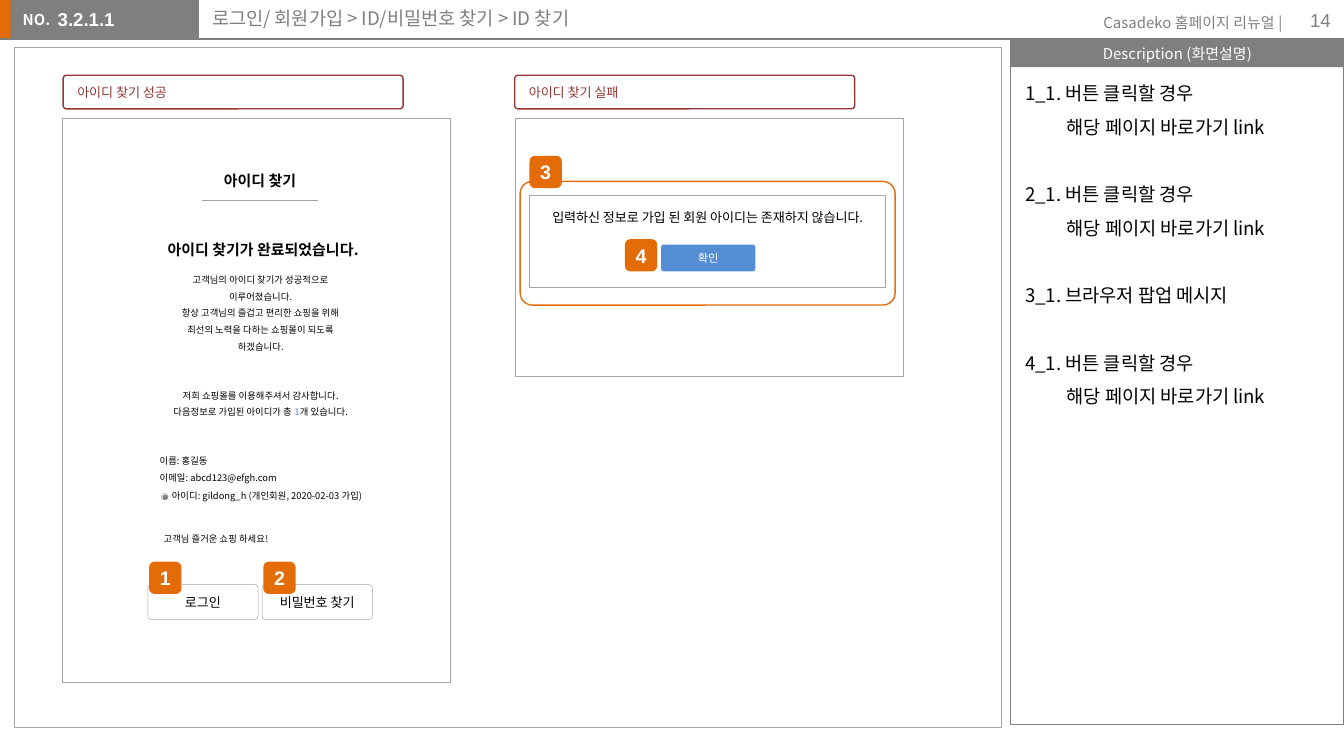
from lxml.etree import SubElement
from pptx import Presentation
from pptx.dml.color import RGBColor
from pptx.enum.shapes import MSO_CONNECTOR, MSO_SHAPE
from pptx.enum.text import MSO_ANCHOR, PP_ALIGN
from pptx.oxml.ns import qn
from pptx.util import Inches, Pt

COLORS = {
    "white": "FFFFFF", "black": "000000", "gray": "7F7F7F", "frame": "A5A5A5",
    "border": "A6A6A6", "radio": "808080", "orange": "E36C09", "popup": "E46C0A",
    "maroon": "953734", "count": "8EB4E3", "confirm": "558ED5",
}
KOREAN = "Noto Sans CJK KR"
LATIN = "Arial"
CENTER, RIGHT = PP_ALIGN.CENTER, PP_ALIGN.RIGHT
TOP, MIDDLE = MSO_ANCHOR.TOP, MSO_ANCHOR.MIDDLE
RECT, ROUND, OVAL = MSO_SHAPE.RECTANGLE, MSO_SHAPE.ROUNDED_RECTANGLE, MSO_SHAPE.OVAL


def rgb(name):
    return RGBColor.from_string(COLORS[name])


def add_run(paragraph, words, size, color, bold, font):
    run = paragraph.add_run()
    run.text = words
    run.font.size = Pt(size)
    run.font.bold = bold
    run.font.name = font
    run.font.color.rgb = rgb(color)
    run.font._element.set("kern", "0")
    SubElement(run.font._element, qn("a:ea")).set("typeface", font)


def write(target, lines, size, color="black", bold=False, font=KOREAN,
          align=PP_ALIGN.LEFT, anchor=TOP, spacing=None, insets=(0.1, 0.05), wrap=True):
    frame = target.text_frame
    frame.word_wrap = wrap
    frame.vertical_anchor = anchor
    frame.margin_left = frame.margin_right = Inches(insets[0])
    frame.margin_top = frame.margin_bottom = Inches(insets[1])
    for index, line in enumerate(lines):
        paragraph = frame.add_paragraph() if index else frame.paragraphs[0]
        paragraph.alignment = align
        if spacing:
            paragraph.line_spacing = spacing
        pieces = [(line, color, bold)] if isinstance(line, str) else line
        for words, piece_color, piece_bold in pieces:
            add_run(paragraph, words, size, piece_color, piece_bold, font)
    return frame.paragraphs


def add_text(slide, box, lines, size, **style):
    area = slide.shapes.add_textbox(*map(Inches, box))
    return write(area, lines, size, **style)


def add_box(slide, box, kind=RECT, fill=None, line=None, weight=0.25, corner=0.098, alpha=None):
    shape = slide.shapes.add_shape(kind, *map(Inches, box))
    shape.shadow.inherit = False
    if kind == ROUND:
        shape.adjustments[0] = corner
    if fill:
        shape.fill.solid()
        shape.fill.fore_color.rgb = rgb(fill)
    else:
        shape.fill.background()
    if alpha:
        tint = shape._element.spPr.find(qn("a:solidFill"))[0]
        SubElement(tint, qn("a:alpha")).set("val", str(alpha * 1000))
    if line:
        shape.line.color.rgb = rgb(line)
        shape.line.width = Pt(weight)
    else:
        shape.line.fill.background()
    return shape


def add_rule(slide, left, right, y, color):
    rule = slide.shapes.add_connector(
        MSO_CONNECTOR.STRAIGHT, Inches(left), Inches(y), Inches(right), Inches(y))
    rule.line.color.rgb = rgb(color)
    rule.line.width = Pt(0.75)
    SubElement(rule._element.spPr, qn("a:effectLst"))


def add_frame(slide, box):
    add_box(slide, box, fill="white", line="frame", alpha=70)


def add_case_label(slide, left, words):
    label = add_box(slide, (left, 0.56, 2.53, 0.25), ROUND, "white", "maroon", 0.75)
    write(label, [words], 7, color="maroon", anchor=MIDDLE)


def add_button(slide, left, words):
    button = add_box(slide, (left, 4.35, 0.82, 0.26), ROUND, line="border")
    write(button, [words], 7, align=CENTER, anchor=MIDDLE)


def add_badge(slide, number, left, top):
    badge = add_box(slide, (left, top, 0.24, 0.24), ROUND, "orange", corner=0.167)
    write(badge, [str(number)], 10.5, color="white", bold=True, font=LATIN,
          align=CENTER, anchor=MIDDLE, insets=(0, 0.05))


def add_header(slide):
    add_box(slide, (-0.01, 0, 0.12, 0.29), fill="orange")
    add_box(slide, (0.08, 0, 1.4, 0.29), fill="gray")
    add_text(slide, (0.07, 0.03, 0.41, 0.24), ["NO."], 8, color="white", bold=True, wrap=False)
    add_rule(slide, 0, 7.66, 0.29, "gray")
    add_text(slide, (8, 0.05, 1.64, 0.24), ["Casadeko 홈페이지 리뉴얼 |"], 8, color="gray", align=RIGHT)
    add_text(slide, (9.4, 0, 0.6, 0.3), ["14"], 10, color="gray", font=LATIN,
             align=RIGHT, anchor=MIDDLE)
    add_text(slide, (0.43, 0.01, 1.1, 0.31), ["3.2.1.1"], 10, color="white", bold=True,
             font=LATIN, insets=(0, 0.05))
    add_text(slide, (1.48, -0.03, 5.42, 0.32), ["로그인/ 회원가입 > ID/비밀번호 찾기 > ID 찾기"],
             10, color="gray", insets=(0.1, 0.11))


def add_description(slide):
    heading = add_box(slide, (7.52, 0.29, 2.48, 0.21), fill="gray")
    write(heading, ["Description (화면설명)"], 8, color="white", align=CENTER,
          anchor=MIDDLE, insets=(0.09, 0.04))
    add_box(slide, (7.52, 0.29, 2.48, 5.1), line="gray", weight=0.75)
    click, follow = "버튼 클릭할 경우", "해당 페이지 바로가기 link"
    notes = [(click, follow), (click, follow), ("브라우저 팝업 메시지",), (click, follow)]
    lines = []
    for number, (first, *rest) in enumerate(notes, 1):
        lines += [f"{number}_1. {first}", *rest]
    paragraphs = add_text(slide, (7.53, 0.48, 2.47, 2.63), lines, 10, spacing=1.5)
    for index, paragraph in enumerate(paragraphs):
        if paragraph.text == follow:
            paragraph._p.get_or_add_pPr().set("marL", str(Inches(0.31)))
        elif index:
            paragraph.space_before = Pt(18)


def add_success(slide):
    add_case_label(slide, 0.47, "아이디 찾기 성공")
    add_frame(slide, (0.46, 0.88, 2.89, 4.2))
    heading = dict(bold=True, align=CENTER, anchor=MIDDLE, insets=(0.12, 0.05))
    add_text(slide, (1.44, 1.25, 0.99, 0.18), ["아이디 찾기"], 8, **heading)
    add_text(slide, (1.12, 1.77, 1.64, 0.18), ["아이디 찾기가 완료되었습니다."], 8, **heading)
    add_text(slide, (1.12, 1.95, 1.64, 0.73), [
        "고객님의 아이디 찾기가 성공적으로 이루어졌습니다.",
        "항상 고객님의 즐겁고 편리한 쇼핑을 위해",
        "최선의 노력을 다하는 쇼핑몰이 되도록 하겠습니다.",
    ], 5, align=CENTER, spacing=1.5, insets=(0.12, 0.05))
    add_text(slide, (1.12, 2.81, 1.64, 0.35), [
        "저희 쇼핑몰를 이용해주셔서 감사합니다.",
        [("다음정보로 가입된 아이디가 총 ", "black", False), ("1", "count", True),
         ("개 있습니다.", "black", False)],
    ], 5, align=CENTER, spacing=1.5)
    add_text(slide, (1.09, 3.3, 1.66, 0.35), ["이름: 홍길동", "이메일: abcd123@efgh.com"],
             5, spacing=1.5)
    add_text(slide, (1.18, 3.6, 1.75, 0.19), ["아이디: gildong_h (개인회원, 2020-02-03 가입)"], 5)
    add_box(slide, (1.2, 3.67, 0.05, 0.05), OVAL, "white", "border")
    add_box(slide, (1.21, 3.68, 0.04, 0.04), OVAL, "radio")
    add_text(slide, (1.12, 3.88, 1.57, 0.21), ["고객님 즐거운 쇼핑 하세요!"], 5, spacing=1.5)
    add_rule(slide, 1.5, 2.37, 1.49, "border")
    for number, words in enumerate(("로그인", "비밀번호 찾기"), 1):
        left = 1.1 + 0.85 * (number - 1)
        add_button(slide, left, words)
        add_badge(slide, number, left + 0.01, 4.18)


def add_failure(slide):
    add_case_label(slide, 3.83, "아이디 찾기 실패")
    add_frame(slide, (3.83, 0.88, 2.89, 1.92))
    message = add_box(slide, (3.94, 1.45, 2.65, 0.69), line="border")
    write(message, ["입력하신 정보로 가입 된 회원 아이디는 존재하지 않습니다."], 7,
          align=CENTER, spacing=1.5)
    confirm = add_box(slide, (4.92, 1.82, 0.7, 0.2), ROUND, "confirm")
    write(confirm, ["확인"], 6, color="white", align=CENTER, anchor=MIDDLE)
    add_badge(slide, 3, 3.94, 1.16)
    add_box(slide, (3.87, 1.35, 2.79, 0.92), ROUND, line="popup", weight=0.75)
    add_badge(slide, 4, 4.65, 1.78)


def main():
    deck = Presentation()
    deck.slide_width = Inches(10)
    deck.slide_height = deck.slide_width * 9 // 16
    slide = deck.slides.add_slide(deck.slide_layouts[6])
    add_header(slide)
    add_description(slide)
    add_frame(slide, (0.11, 0.35, 7.34, 5.06))
    add_success(slide)
    add_failure(slide)
    deck.save("out.pptx")


main()
